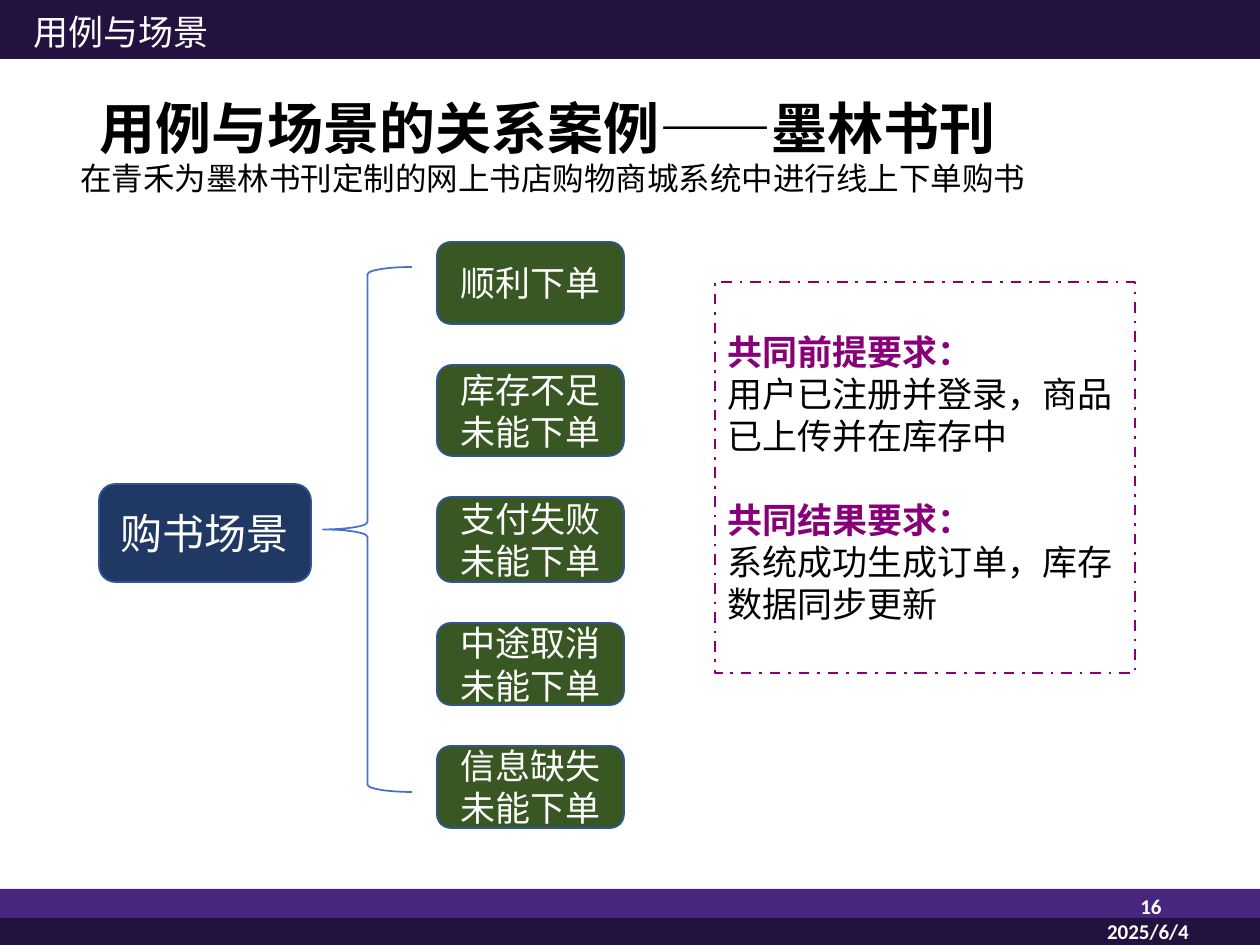
from lxml import etree
from pptx import Presentation
from pptx.dml.color import RGBColor
from pptx.enum.dml import MSO_LINE
from pptx.enum.shapes import MSO_SHAPE
from pptx.enum.text import MSO_ANCHOR, MSO_AUTO_SIZE, PP_ALIGN
from pptx.oxml.ns import qn
from pptx.util import Emu, Pt

RECT, ROUND, BRACE = MSO_SHAPE.RECTANGLE, MSO_SHAPE.ROUNDED_RECTANGLE, MSO_SHAPE.LEFT_BRACE
LEFT, MID, RIGHT = PP_ALIGN.LEFT, PP_ALIGN.CENTER, PP_ALIGN.RIGHT
TOP, CENTER = MSO_ANCHOR.TOP, MSO_ANCHOR.MIDDLE
PX = 914400 // 126
TITLE_ONLY = 5

# Content
HEAD = "用例与场景"
TITLE = "用例与场景的关系案例——墨林书刊"
SUB = "在青禾为墨林书刊定制的网上书店购物商城系统中进行线上下单购书"
ROOT = "购书场景"
CASES = [  # text, height
    ("顺利下单", 82),
    ("库存不足未能下单", 91),
    ("支付失败未能下单", 85),
    ("中途取消未能下单", 82),
    ("信息缺失未能下单", 82),
]
RULES = [
    ("共同前提要求：", "用户已注册并登录，商品已上传并在库存中"),
    ("共同结果要求：", "系统成功生成订单，库存数据同步更新"),
]
PAGE, DATE = "16", "2025/6/4"

THEME = {
    "cjk": "Noto Sans CJK SC", "latin": "Calibri",
    "dark": "231240", "band": "472680", "white": "FFFFFF", "black": "000000",
    "root": "203864", "case": "385723", "edge": "2F5597", "brace": "4472C4",
    "accent": "870078",
    "title": 32, "big": 24, "text": 20, "sub": 18, "foot": 12,
}
LEAD = 1.2  # line height as a share of the type size


def rgb(name):
    return RGBColor.from_string(THEME[name])


def put(para, text, size="text", color="black", bold=False, align=LEFT, face="cjk"):
    """Write one formatted run into a paragraph."""
    para.alignment = align
    para.line_spacing = Pt(round(THEME[size] * LEAD, 1))
    run = para.add_run()
    run.text = text
    look = {"size": Pt(THEME[size]), "bold": bold, "name": THEME[face]}
    for key, val in look.items():
        setattr(run.font, key, val)
    run.font.color.rgb = rgb(color)
    east = etree.SubElement(run._r.get_or_add_rPr(), qn("a:ea"))
    east.set("typeface", THEME[face])


def frame(shape, anchor=CENTER, wrap=True):
    body = shape.text_frame
    look = {"word_wrap": wrap, "auto_size": MSO_AUTO_SIZE.NONE, "vertical_anchor": anchor}
    for key, val in look.items():
        setattr(body, key, val)
    return body


def draw(slide, kind, box, fill=None, edge=None, width=1):
    shape = slide.shapes.add_shape(kind, *(Emu(n * PX) for n in box))
    shape.shadow.inherit = False
    if fill:
        shape.fill.solid()
        shape.fill.fore_color.rgb = rgb(fill)
    else:
        shape.fill.background()
    if edge:
        shape.line.color.rgb = rgb(edge)
        shape.line.width = Pt(width)
    else:
        shape.line.fill.background()
    return shape


def label(slide, box, text, wrap=True, **look):
    area = slide.shapes.add_textbox(*(Emu(n * PX) for n in box))
    put(frame(area, TOP, wrap).paragraphs[0], text, **look)


def node(slide, box, text, fill, size):
    shape = draw(slide, ROUND, box, fill, "edge")
    put(frame(shape).paragraphs[0], text, size, "white", align=MID)


def main():
    deck = Presentation()
    deck.slide_width, deck.slide_height = Emu(1260 * PX), Emu(945 * PX)
    slide = deck.slides.add_slide(deck.slide_layouts[TITLE_ONLY])

    # Bands, header and footer
    for top, high, fill in [(889, 30, "band"), (918, 27, "dark"), (0, 59, "dark")]:
        draw(slide, RECT, (0, top, 1260, high), fill)
    foot = {"size": "foot", "color": "white", "bold": True, "face": "latin"}
    label(slide, (1092, 887, 82, 76), PAGE, align=RIGHT, **foot)
    label(slide, (1076, 912, 144, 50), DATE, align=MID, **foot)
    label(slide, (21, 4, 200, 55), HEAD, wrap=False, color="white")

    # Title and subtitle
    title = slide.shapes.title
    spot = {"left": 87, "top": 82, "width": 1086, "height": 91}
    for key, val in spot.items():
        setattr(title, key, Emu(val * PX))
    put(frame(title).paragraphs[0], TITLE, "title", bold=True)
    label(slide, (68, 153, 979, 50), SUB, size="sub")

    # Scenario tree
    node(slide, (99, 484, 212, 98), ROOT, "root", "big")
    top, gap = 242, 41
    for text, high in CASES:
        node(slide, (437, top, 187, high), text, "case", "text")
        top += high + gap
    draw(slide, BRACE, (323, 267, 89, 525), edge="brace")

    # Shared requirements
    panel = draw(slide, RECT, (715, 282, 420, 391), edge="accent", width=1.5)
    panel.line.dash_style = MSO_LINE.DASH_DOT
    body = frame(panel)
    for i, (name, text) in enumerate(RULES):
        para = body.add_paragraph() if i else body.paragraphs[0]
        if i:
            para.space_before = Pt(THEME["text"] * LEAD)
        put(para, name, color="accent", bold=True)
        put(body.add_paragraph(), text)

    deck.save("out.pptx")


if __name__ == "__main__":
    main()
